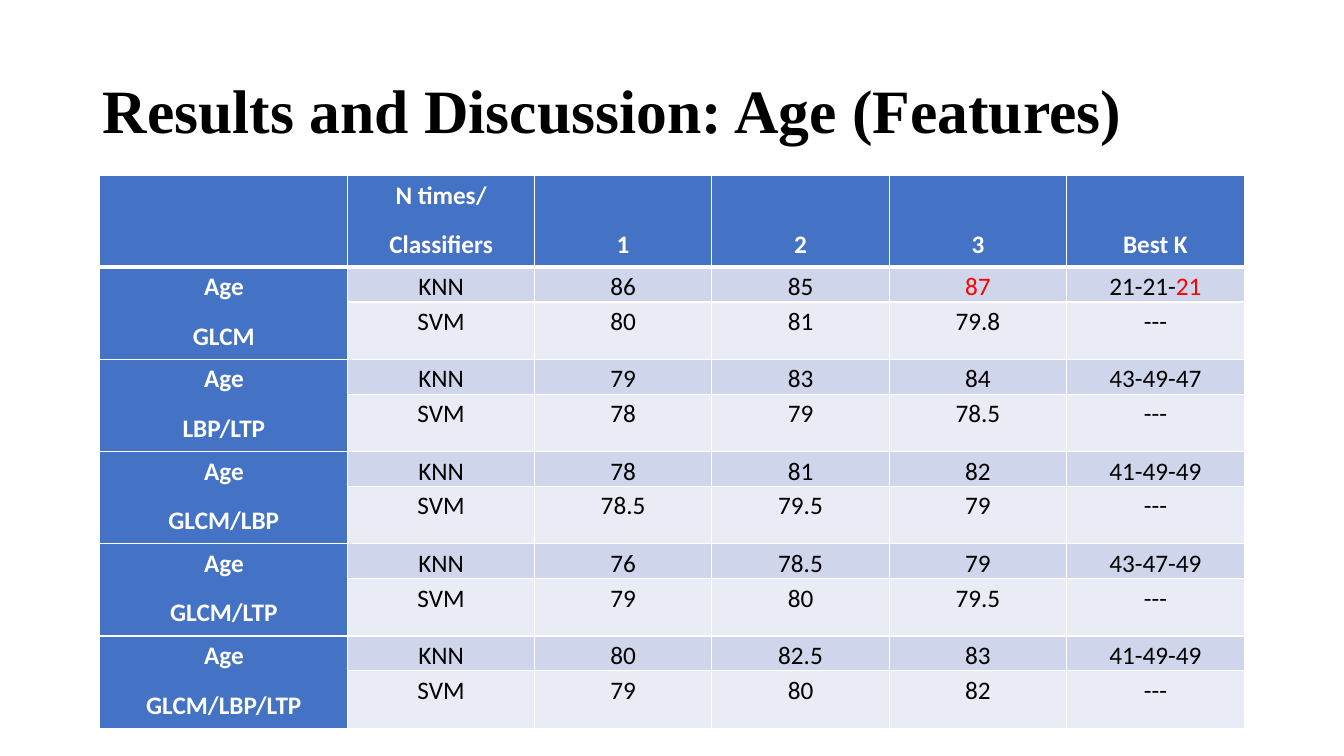
from pptx import Presentation
from pptx.dml.color import RGBColor
from pptx.enum.text import MSO_ANCHOR as Anchor, PP_ALIGN as Align
from pptx.oxml.ns import qn
from pptx.util import Inches, Pt
from lxml.etree import SubElement

COLORS = {
    "header": "4472C4",
    "knn": "CFD5EA",
    "svm": "E9EBF5",
    "white": "FFFFFF",
    "black": "000000",
    "best": "FF0000",
}
COLUMN_WIDTHS = [2.46, 1.85] + [1.76] * 4
HEADER_HEIGHT, KNN_HEIGHT, SVM_HEIGHT = 0.91, 0.34, 0.57
HEADINGS = ["", "N times/\nClassifiers", "1", "2", "3", "Best K"]
NO_K = "---"

# Feature set, KNN results with best K, SVM results
RESULTS = [
    ("GLCM", ["86", "85", "87", "21-21-21"], ["80", "81", "79.8"]),
    ("LBP/LTP", ["79", "83", "84", "43-49-47"], ["78", "79", "78.5"]),
    ("GLCM/LBP", ["78", "81", "82", "41-49-49"], ["78.5", "79.5", "79"]),
    ("GLCM/LTP", ["76", "78.5", "79", "43-47-49"], ["79", "80", "79.5"]),
    ("GLCM/LBP/LTP", ["80", "82.5", "83", "41-49-49"], ["79", "80", "82"]),
]


def rgb(name):
    return RGBColor.from_string(COLORS[name])


def write_text(frame, text, size=18, font="Calibri", color="black", bold=False,
               align=Align.CENTER, line_spacing=1.15, space_after=10, best=""):
    """Write one paragraph per line; a trailing part given as best turns red."""
    frame.text = text
    for paragraph in frame.paragraphs:
        paragraph.alignment = align
        paragraph.line_spacing = line_spacing
        paragraph.space_after = Pt(space_after)
        paragraph.font.size = Pt(size)
        if best:
            paragraph.runs[0].text = text.removesuffix(best)
            paragraph.add_run().text = best
        for run in paragraph.runs:
            run.font.size = Pt(size)
            run.font.name = font
            run.font.bold = bold
            run.font.color.rgb = rgb("best" if best and run.text == best else color)


def set_borders(cell, top=1, bottom=1):
    properties = cell._tc.get_or_add_tcPr()
    for side, width in (("L", 1), ("R", 1), ("T", top), ("B", bottom)):
        line = SubElement(properties, qn(f"a:ln{side}"), w=str(Pt(width)))
        fill = SubElement(line, qn("a:solidFill"))
        SubElement(fill, qn("a:srgbClr"), val=COLORS["white"])


def format_cell(cell, text, fill, top=1, bottom=1, **text_format):
    set_borders(cell, top, bottom)
    cell.fill.solid()
    cell.fill.fore_color.rgb = rgb(fill)
    cell.margin_left = cell.margin_right = Inches(0.07)
    cell.margin_top = cell.margin_bottom = 0
    write_text(cell.text_frame, text, **text_format)


def add_title(slide, text):
    shape = slide.shapes.add_textbox(Inches(0.92), Inches(0.4), Inches(11.5), Inches(1.45))
    shape.text_frame.word_wrap = True
    shape.text_frame.vertical_anchor = Anchor.MIDDLE
    write_text(shape.text_frame, text, size=44, font="Times New Roman", bold=True,
               align=Align.LEFT, line_spacing=0.9, space_after=0)


def add_results_table(slide):
    heights = [HEADER_HEIGHT] + [KNN_HEIGHT, SVM_HEIGHT] * len(RESULTS)
    table = slide.shapes.add_table(
        len(heights), len(COLUMN_WIDTHS), Inches(0.99), Inches(1.74),
        Inches(sum(COLUMN_WIDTHS)), Inches(sum(heights))).table
    for column, width in zip(table.columns, COLUMN_WIDTHS):
        column.width = Inches(width)
    for row, height in zip(table.rows, heights):
        row.height = Inches(height)

    # Header row, with single lines level with "Classifiers"
    for column, heading in enumerate(HEADINGS):
        cell = table.cell(0, column)
        format_cell(cell, heading, "header", bottom=3, color="white", bold=True)
        if "\n" not in heading:
            cell.vertical_anchor = Anchor.BOTTOM
            cell.margin_bottom = Inches(0.07)

    # Two classifier rows per feature set
    for index, (features, knn, svm) in enumerate(RESULTS):
        first = 1 + 2 * index
        top = 3 if index == 0 else 1
        label = table.cell(first, 0)
        label.merge(table.cell(first + 1, 0))
        format_cell(label, f"Age\n{features}", "header", top=top, color="white", bold=True)
        format_cell(table.cell(first + 1, 0), "", "header")
        for column, value in enumerate(["KNN"] + knn, start=1):
            best = {"87": "87", "21-21-21": "21"}.get(value, "")
            format_cell(table.cell(first, column), value, "knn", top=top, best=best)
        for column, value in enumerate(["SVM"] + svm + [NO_K], start=1):
            format_cell(table.cell(first + 1, column), value, "svm")


def main():
    presentation = Presentation()
    presentation.slide_width = Inches(13.33)
    presentation.slide_height = Inches(7.5)
    slide = presentation.slides.add_slide(presentation.slide_layouts[6])
    add_title(slide, "Results and Discussion: Age (Features)")
    add_results_table(slide)
    presentation.save("out.pptx")


if __name__ == "__main__":
    main()
